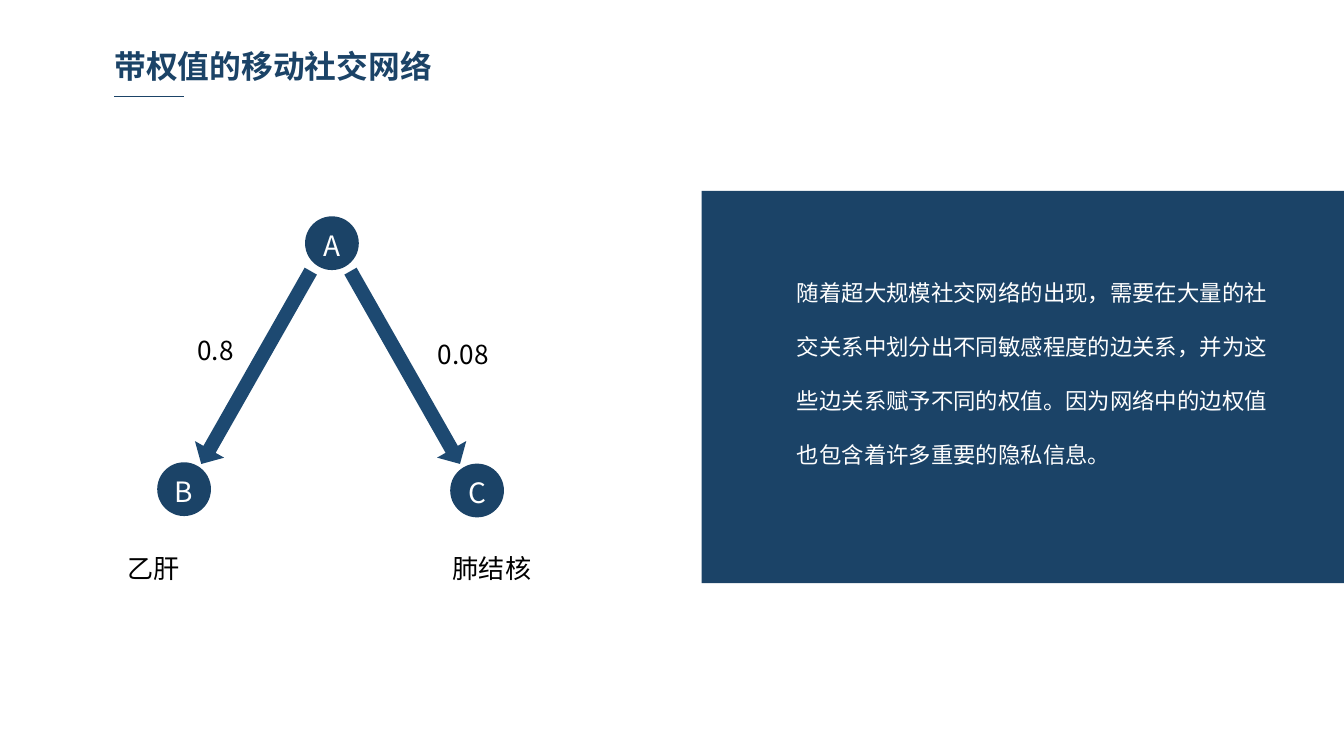
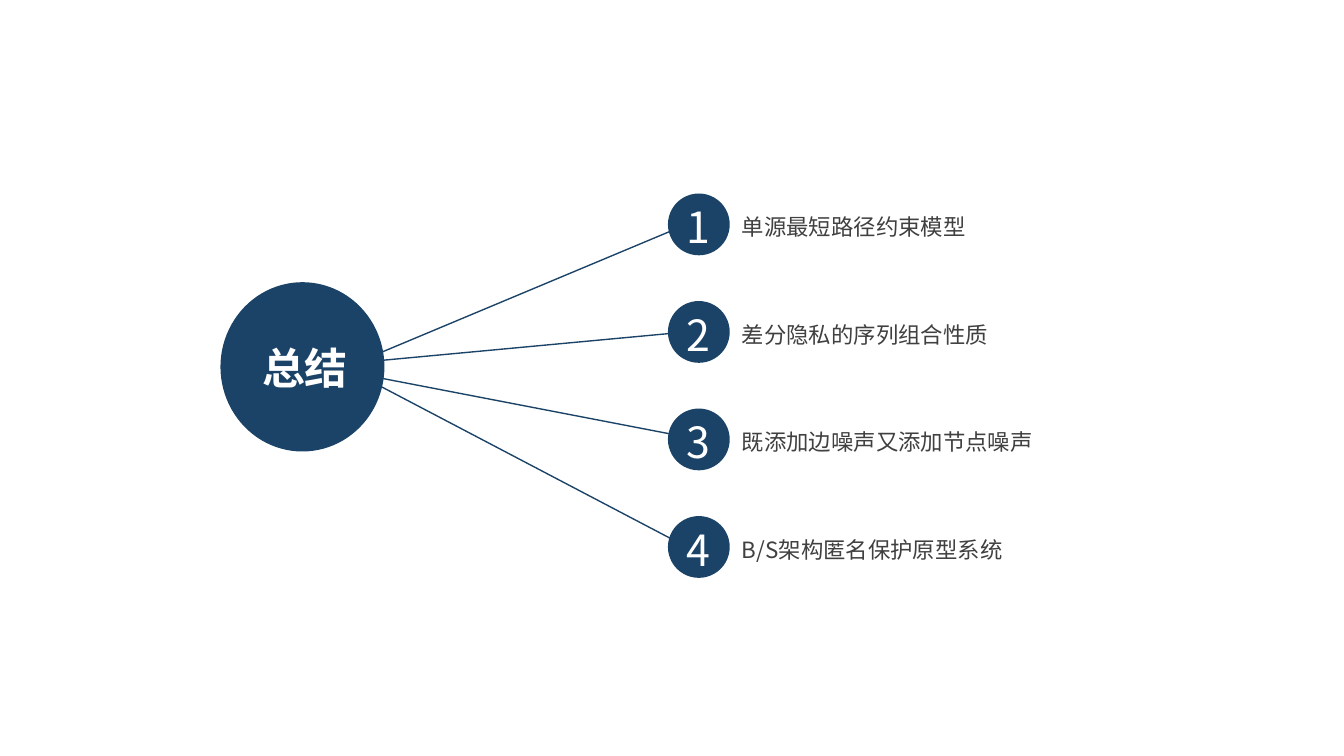
import pptx
import pptx.dml.color
import pptx.enum.shapes
import pptx.enum.text
import pptx.oxml.ns
import pptx.util
from lxml import etree

PX = 9144  # EMU in one px, at 100 px to the inch
FONT = "Noto Sans CJK SC"
NAVY, ARROW, WHITE, BLACK, GREY = "1B4367", "1D4971", "FFFFFF", "000000", "404040"
TIGHT = (7, 4)  # horizontal and vertical text insets
LOOSE = (10, 5)

SHAPE = pptx.enum.shapes.MSO_SHAPE
ALIGN = pptx.enum.text.PP_ALIGN
ANCHOR = pptx.enum.text.MSO_ANCHOR


def px(*lengths):
    return [pptx.util.Emu(length * PX) for length in lengths]


def rgb(color):
    return pptx.dml.color.RGBColor.from_string(color)


def write(sp, text, size, color, bold=False, align=ALIGN.LEFT,
          anchor=ANCHOR.TOP, insets=LOOSE, spacing=None, wrap=True):
    """Put one formatted run in a shape, text box or placeholder."""
    tf = sp.text_frame
    tf.auto_size = pptx.enum.text.MSO_AUTO_SIZE.NONE
    tf.word_wrap = wrap
    tf.vertical_anchor = anchor
    tf.margin_left, tf.margin_top = px(*insets)
    tf.margin_right, tf.margin_bottom = px(*insets)
    p = tf.paragraphs[0]
    p.alignment = align
    if spacing:
        p.line_spacing = spacing
    r = p.add_run()
    r.text = text
    r.font.size = pptx.util.Pt(size)
    r.font.bold = bold
    r.font.color.rgb = rgb(color)
    r.font.name = FONT
    # East Asian typeface
    ea = etree.SubElement(r.font._element, pptx.oxml.ns.qn("a:ea"))
    ea.set("typeface", FONT)


def add_title(s, box, text, size, color, **style):
    """Fill the title placeholder and bring it to the front."""
    sp = s.shapes.title
    sp.left, sp.top, sp.width, sp.height = px(*box)
    write(sp, text, size, color, bold=True, **style)
    s.shapes._spTree.append(sp._element)


def add_text(s, box, text, size, color, **style):
    write(s.shapes.add_textbox(*px(*box)), text, size, color, **style)


def add_shape(s, kind, box, color=NAVY):
    sp = s.shapes.add_shape(kind, *px(*box))
    sp.shadow.inherit = False
    sp.fill.solid()
    sp.fill.fore_color.rgb = rgb(color)
    sp.line.fill.background()
    return sp


def add_node(s, x, y, diameter, text, size):
    """Circle with a centred character."""
    sp = add_shape(s, SHAPE.OVAL, (x, y, diameter, diameter))
    write(sp, text, size, WHITE, align=ALIGN.CENTER, anchor=ANCHOR.MIDDLE,
          insets=(0, 0), wrap=False)
    sp.text_frame.margin_top = px(3)[0]


def add_arrow(s, kind, box, angle):
    sp = add_shape(s, kind, box, ARROW)
    sp.rotation = angle
    sp.adjustments[0] = 0.42
    sp.adjustments[1] = 0.5


def add_line(s, *ends):
    straight = pptx.enum.shapes.MSO_CONNECTOR.STRAIGHT
    line = s.shapes.add_connector(straight, *px(*ends))
    line.line.color.rgb = rgb(NAVY)
    line.line.width = pptx.util.Pt(0.75)
    etree.SubElement(line._element.spPr, pptx.oxml.ns.qn("a:effectLst"))


def network_slide(s):
    # Explanation panel
    add_shape(s, SHAPE.RECTANGLE, (522, 142, 478, 292))
    add_text(s, (586, 184, 374, 163),
             "随着超大规模社交网络的出现，需要在大量的社交关系中划分出不同敏感程度的边关系，"
             "并为这些边关系赋予不同的权值。因为网络中的边权值也包含着许多重要的隐私信息。",
             12, WHITE, insets=TIGHT, spacing=2.0)

    # Heading with underline
    add_title(s, (78, 31, 256, 36), "带权值的移动社交网络", 17, NAVY,
              align=ALIGN.LEFT, insets=TIGHT)
    add_line(s, 85, 72, 137, 72)

    # Weighted graph
    for name, x, y in (("A", 227, 161), ("C", 335, 345), ("B", 117, 344)):
        add_node(s, x, y, 40, name, 15)
    add_arrow(s, SHAPE.LEFT_ARROW, (108, 261, 165, 25), -60.4)
    add_arrow(s, SHAPE.RIGHT_ARROW, (219, 261, 165, 25), 60.4)

    # Edge weights and leaf captions
    for text, x, y, width in (("0.8", 137, 244, 49), ("0.08", 316, 247, 60),
                              ("乙肝", 85, 406, 73), ("肺结核", 327, 406, 80)):
        add_text(s, (x, y, width, 34), text, 14, BLACK)


def summary_slide(s):
    # Spokes from the hub to the points
    for ends in ((265, 270, 511, 167), (264, 270, 511, 247),
                 (271, 279, 520, 327), (269, 280, 511, 407)):
        add_line(s, *ends)

    # Numbered points
    points = ("单源最短路径约束模型", "差分隐私的序列组合性质",
              "既添加边噪声又添加节点噪声", "B/S架构匿名保护原型系统")
    for i, point in enumerate(points):
        y = 144 + 80 * i
        add_node(s, 497, y, 46, str(i + 1), 23)
        add_text(s, (545, y + 10, 340, 27), point, 12, GREY,
                 insets=TIGHT, spacing=pptx.util.Pt(15))

    # Hub
    add_shape(s, SHAPE.OVAL, (164, 210, 122, 126))
    add_title(s, (149, 249, 156, 48), "总结", 23, WHITE, align=ALIGN.CENTER)


def main():
    prs = pptx.Presentation()
    prs.slide_width = px(1000)[0]
    prs.slide_height = prs.slide_width * 9 // 16
    title_only = prs.slide_layouts[5]
    for build in (network_slide, summary_slide):
        build(prs.slides.add_slide(title_only))
    prs.save("out.pptx")


if __name__ == "__main__":
    main()
